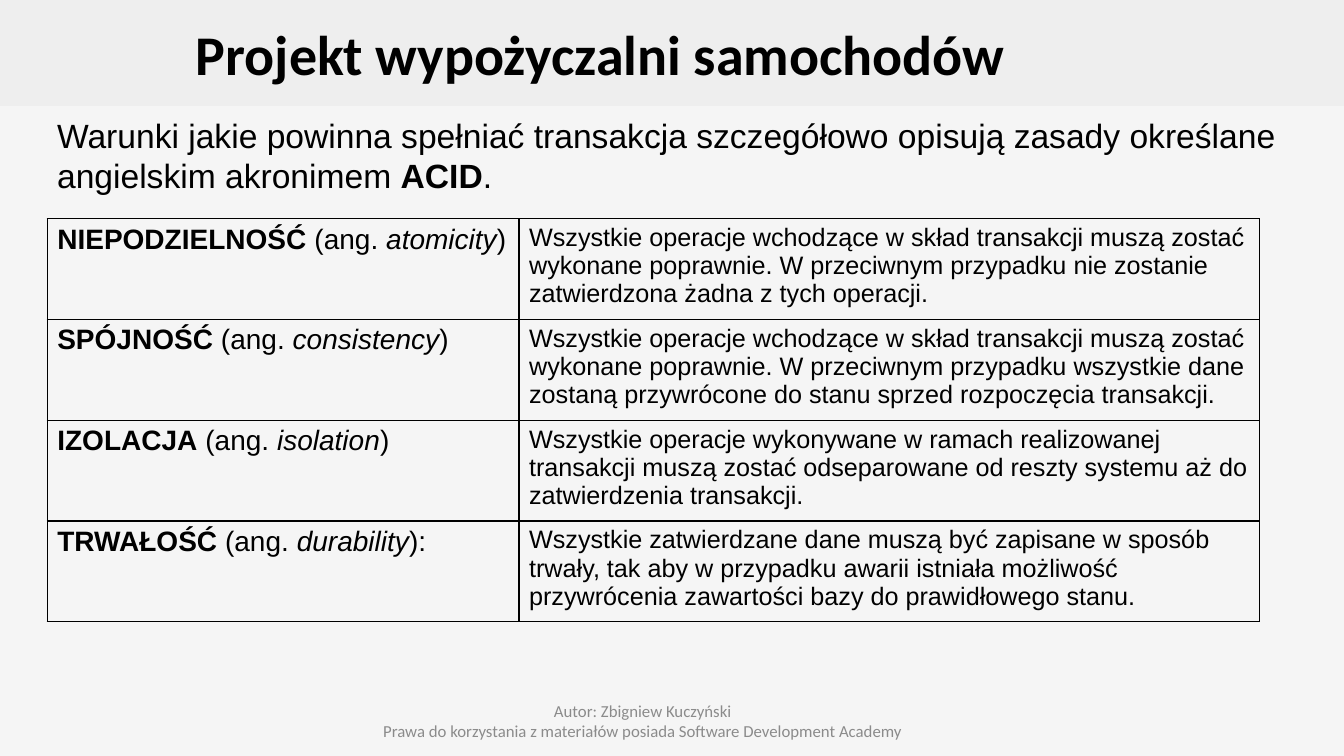
from lxml.etree import SubElement
from pptx import Presentation
from pptx.dml.color import RGBColor
from pptx.enum.shapes import MSO_SHAPE as Shape
from pptx.enum.text import MSO_ANCHOR as Anchor, MSO_AUTO_SIZE as AutoSize, PP_ALIGN as Align
from pptx.oxml.ns import qn
from pptx.util import Cm, Pt

COLOURS = {"page": "F5F5F5", "strip": "EEEEEE", "text": "000000", "footer": "8B8B8B"}

TITLE = "Projekt wypożyczalni samochodów"
INTRO = [
    ("Warunki jakie powinna spełniać transakcja szczegółowo opisują zasady określane "
     "angielskim akronimem ", {}),
    ("ACID", {"bold": True}),
    (".", {}),
]
FOOTER = [
    "Autor: Zbigniew Kuczyński",
    "Prawa do korzystania z materiałów posiada Software Development Academy",
]
# Polish name, English name, closing mark, description
ACID_RULES = [
    ("NIEPODZIELNOŚĆ", "atomicity", ")",
     "Wszystkie operacje wchodzące w skład transakcji muszą zostać wykonane poprawnie. "
     "W przeciwnym przypadku nie zostanie zatwierdzona żadna z tych operacji."),
    ("SPÓJNOŚĆ", "consistency", ")",
     "Wszystkie operacje wchodzące w skład transakcji muszą zostać wykonane poprawnie. "
     "W przeciwnym przypadku wszystkie dane zostaną przywrócone do stanu sprzed "
     "rozpoczęcia transakcji."),
    ("IZOLACJA", "isolation", ")",
     "Wszystkie operacje wykonywane w ramach realizowanej transakcji muszą zostać "
     "odseparowane od reszty systemu aż do zatwierdzenia transakcji."),
    ("TRWAŁOŚĆ", "durability", "):",
     "Wszystkie zatwierdzane dane muszą być zapisane w sposób trwały, tak aby w przypadku "
     "awarii istniała możliwość przywrócenia zawartości bazy do prawidłowego stanu."),
]


def colour(name):
    return RGBColor.from_string(COLOURS[name])


def write(para, spans, size, font="Arial", ink="text", align=Align.LEFT):
    """Fill a paragraph with (text, format values) spans."""
    para.alignment = align
    for text, extra in spans:
        span = para.add_run()
        span.text = text
        values = {"size": Pt(size), "name": font, "bold": False, "italic": False, **extra}
        for key, value in values.items():
            setattr(span.font, key, value)
        span.font.color.rgb = colour(ink)


def prepare_frame(frame, anchor):
    values = {"word_wrap": True, "auto_size": AutoSize.NONE, "vertical_anchor": anchor,
              "margin_left": Cm(0.25), "margin_right": Cm(0.25),
              "margin_top": Cm(0.13), "margin_bottom": Cm(0.13)}
    for key, value in values.items():
        setattr(frame, key, value)


def add_header(page, left, top, width, height):
    """Title on a strip that runs across the whole page."""
    strip = page.shapes.add_shape(Shape.RECTANGLE, left, top, width, height)
    strip.shadow.inherit = False
    strip.fill.solid()
    strip.fill.fore_color.rgb = colour("strip")
    strip.line.fill.background()

    title = page.shapes.title
    title.element.addprevious(strip.element)
    title.left, title.top = left, top
    title.width, title.height = width - Cm(3.61), height
    prepare_frame(title.text_frame, Anchor.MIDDLE)
    write(title.text_frame.paragraphs[0], [(TITLE, {"bold": True})], 40, "Calibri",
          align=Align.CENTER)


def add_intro(page, left, top, width, height):
    box = page.shapes.add_textbox(left, top, width, height)
    prepare_frame(box.text_frame, Anchor.TOP)
    write(box.text_frame.paragraphs[0], INTRO, 24)


def add_footer(page, left, top, width, height):
    box = page.shapes.add_textbox(left, top, width, height)
    frame = box.text_frame
    prepare_frame(frame, Anchor.MIDDLE)
    for index, line in enumerate(FOOTER):
        para = frame.add_paragraph() if index else frame.paragraphs[0]
        write(para, [(line, {})], 12, "Calibri", "footer", Align.CENTER)


def style_cell(cell):
    """Give a cell no fill and a thin black border on every side."""
    properties = cell._tc.get_or_add_tcPr()
    for side in ("a:lnL", "a:lnR", "a:lnT", "a:lnB"):
        line = SubElement(properties, qn(side), w=str(Pt(1)))
        fill = SubElement(line, qn("a:solidFill"))
        SubElement(fill, qn("a:srgbClr"), val=COLOURS["text"])
    cell.fill.background()


def add_rules_table(page, left, top, width, height):
    table = page.shapes.add_table(len(ACID_RULES), 2, left, top, width, height).table
    table.first_row = table.horz_banding = False
    table.columns[0].width = Cm(11.89)
    table.columns[1].width = width - Cm(11.89)
    for row, (name, english, closing, description) in zip(table.rows, ACID_RULES):
        term = [(name, {"bold": True}), (" (ang. ", {}),
                (english, {"italic": True}), (closing, {})]
        for cell, spans, size in zip(row.cells, (term, [(description, {})]), (20, 18)):
            style_cell(cell)
            write(cell.text_frame.paragraphs[0], spans, size)


def main():
    deck = Presentation()
    deck.slide_width, deck.slide_height = Cm(33.87), Cm(19.05)
    page = deck.slides.add_slide(deck.slide_layouts[5])
    page.background.fill.solid()
    page.background.fill.fore_color.rgb = colour("page")

    add_header(page, 0, 0, deck.slide_width, Cm(2.67))
    add_footer(page, Cm(8.25), Cm(17.65), Cm(15.9), Cm(1.02))
    add_intro(page, Cm(1.19), Cm(2.77), Cm(31.42), Cm(11.53))
    add_rules_table(page, Cm(1.19), Cm(5.51), Cm(30.56), Cm(10.16))
    deck.save("out.pptx")


if __name__ == "__main__":
    main()
